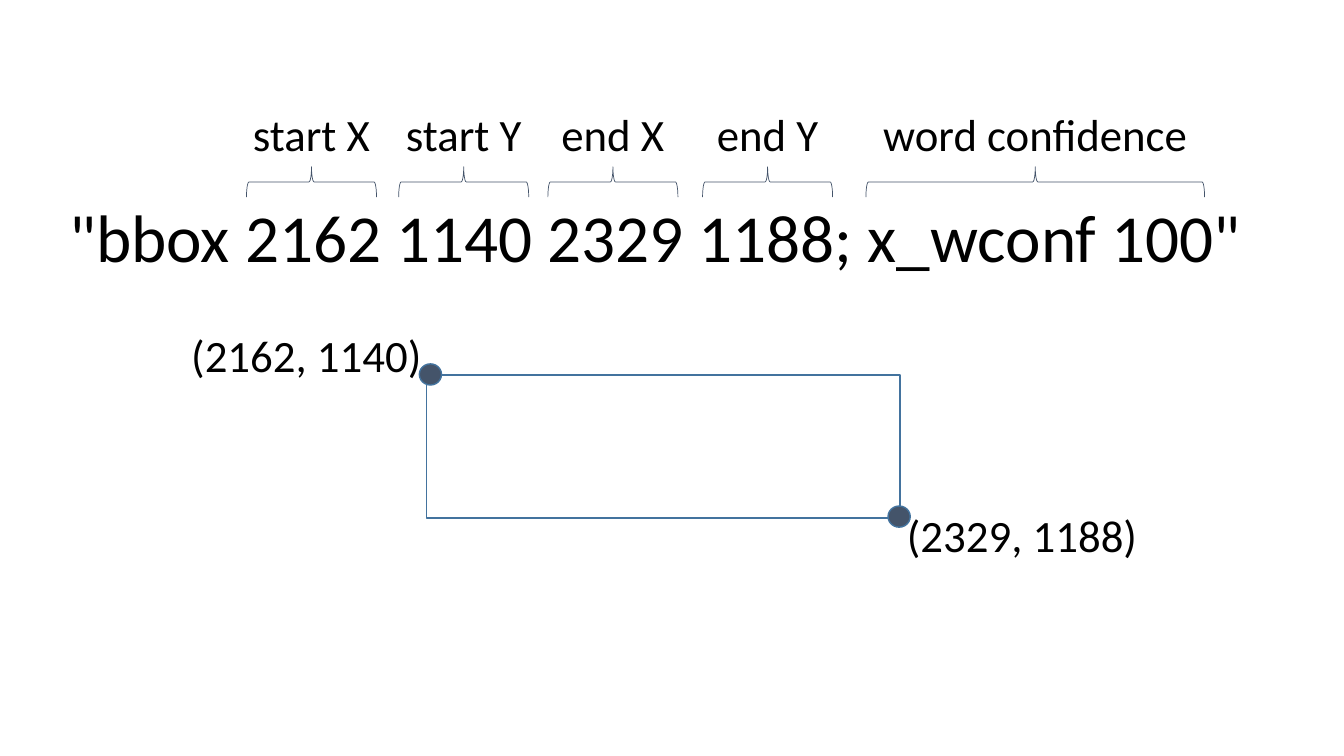
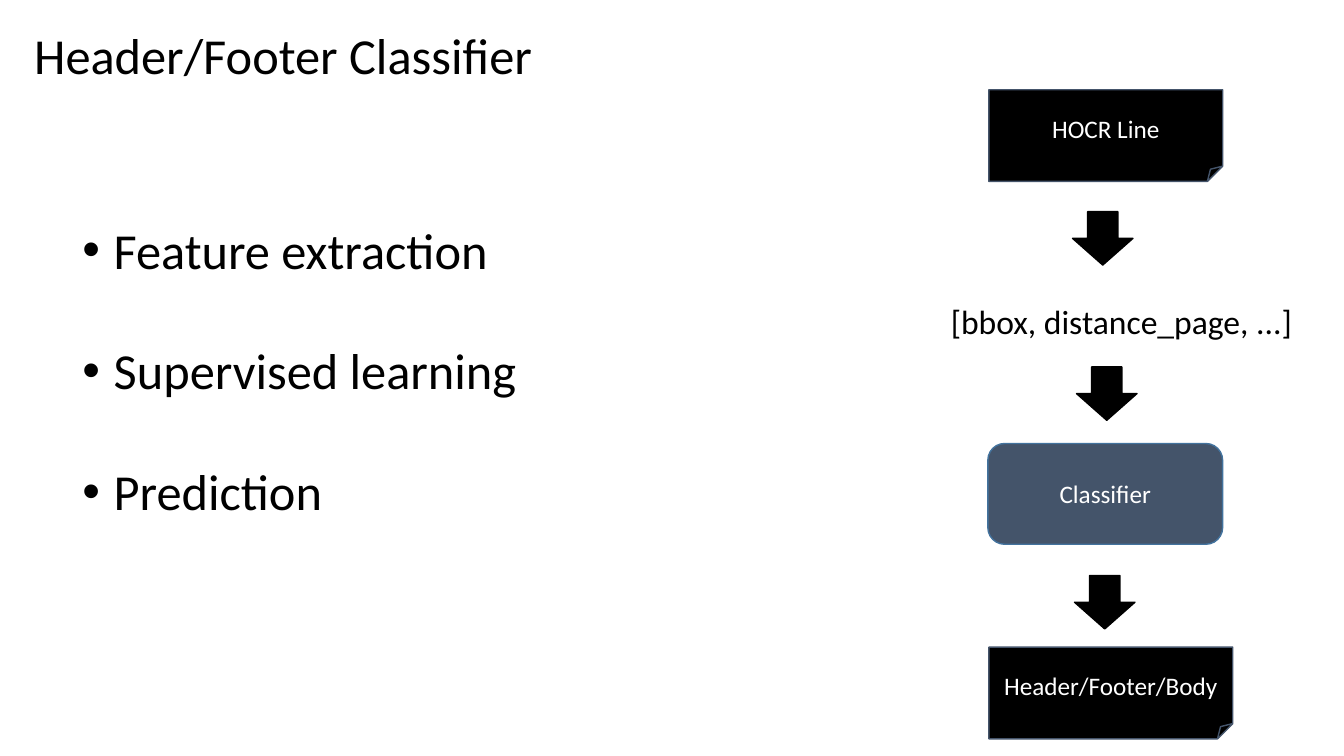
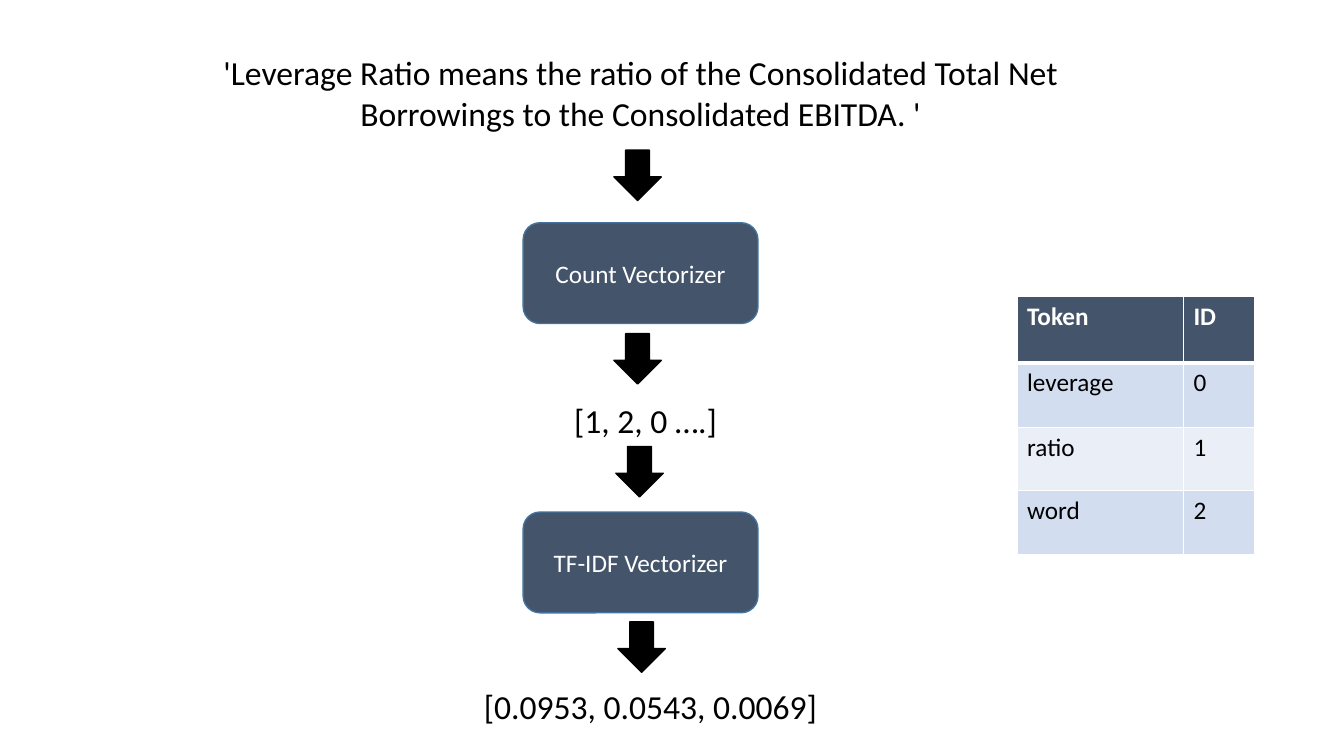
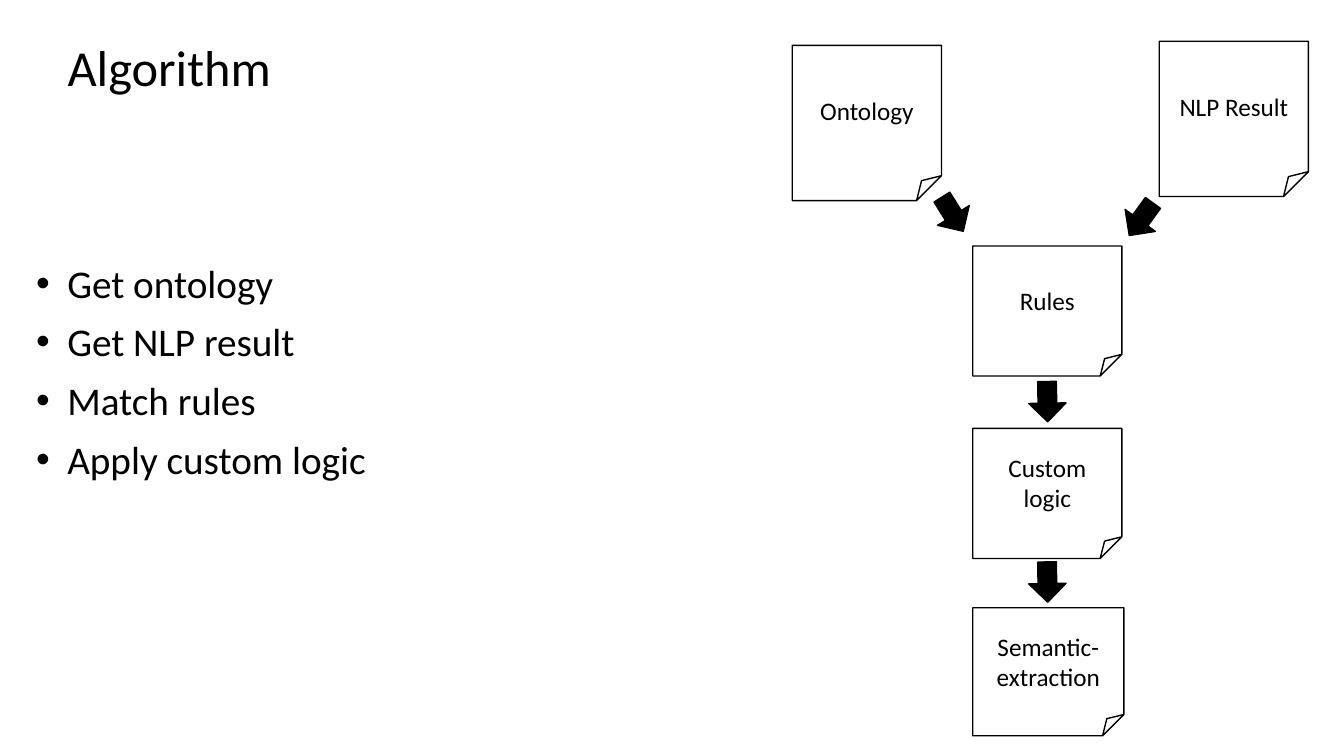
import pptx
import pptx.util
import pptx.dml.color
import pptx.enum.shapes
import pptx.enum.text
import pptx.oxml.ns
from lxml import etree

RGBColor = pptx.dml.color.RGBColor
MSO = pptx.enum.shapes.MSO_SHAPE
ALIGN = pptx.enum.text.PP_ALIGN
ANCHOR = pptx.enum.text.MSO_ANCHOR
Pt = pptx.util.Pt

BLACK = RGBColor(0x00, 0x00, 0x00)
WHITE = RGBColor(0xFF, 0xFF, 0xFF)
SLATE = RGBColor(0x44, 0x54, 0x6A)
BLUE = RGBColor(0x43, 0x73, 0x9E)
BAND_DARK = RGBColor(0xD2, 0xDE, 0xEF)
BAND_LIGHT = RGBColor(0xEA, 0xEF, 0xF7)

# All places and sizes are grid cells: 80 columns by 45 rows
COLUMNS, ROWS = 80, 45
SLIDE_W, SLIDE_H = pptx.util.Inches(13.333), pptx.util.Inches(7.5)
CELL = SLIDE_H / ROWS

# ---- Content: bounding box slide ----
HOCR_TITLE = '"bbox 2162 1140 2329 1188; x_wconf 100"'
# label, centre column, label width, brace span
FIELDS = [
    ("start X", 18.54, 18, 7.74),
    ("start Y", 27.6, 18, 7.74),
    ("end X", 36.48, 18, 7.74),
    ("end Y", 45.69, 18, 7.74),
    ("word confidence", 61.62, 24.9, 20.16),
]
BOUNDING_BOX = (25.38, 22.32, 28.2, 8.52)
# text, text place, dot centre
CORNERS = [
    ("(2162, 1140)", (9.24, 19.2), (25.62, 22.29)),
    ("(2329, 1188)", (51.84, 29.94), (53.52, 30.75)),
]
DOT_W, DOT_H = 1.32, 1.26

# ---- Content: classifier slide ----
STEPS = ["Feature extraction", "Supervised learning", "Prediction"]
CLASSIFIER_PAGES = [
    ("HOCR Line", (58.86, 5.34, 13.92, 5.46)),
    ("Header/Footer/Body", (58.86, 38.52, 14.52, 5.46)),
]
CLASSIFIER_ARROWS = [(63.84, 12.6), (64.08, 21.84), (63.96, 34.26)]

# ---- Content: vectorizer slide ----
VECTOR_TEXTS = [
    ("'Leverage Ratio means the ratio of the Consolidated Total Net "
     "Borrowings to the Consolidated EBITDA. '", (8.76, 2.82, 58.74, 7.26)),
    ("[1, 2, 0 ….]", (9.06, 23.52, 58.74, 4.86)),
    ("[0.0953, 0.0543, 0.0069]", (9.36, 40.56, 58.74, 4.2)),
]
VECTORIZERS = [("Count Vectorizer", 13.26), ("TF-IDF Vectorizer", 30.48)]
VECTOR_ARROWS = [(36.54, 8.94), (36.54, 19.86), (36.66, 26.58), (36.78, 37.02)]
TOKENS = [("Token", "ID"), ("leverage", "0"), ("ratio", "1"), ("word", "2")]
TOKEN_COLUMNS = [9.9, 4.26]
TOKEN_ROWS = [3.96, 3.84, 3.78, 3.78]

# ---- Content: algorithm slide ----
ALGORITHM = ["Get ontology", "Get NLP result", "Match rules",
             "Apply custom logic"]
ALGORITHM_PAGES = [
    ("Ontology", (47.16, 2.7, 8.88, 9.24)),
    ("NLP Result", (69, 2.46, 8.88, 9.24)),
    ("Rules", (57.9, 14.64, 8.88, 7.74)),
    ("Custom logic", (57.9, 25.5, 8.88, 7.74)),
    ("Semantic-extraction", (57.9, 36.18, 9, 7.62)),
]
# column, row, rotation
ALGORITHM_ARROWS = [(61.14, 22.8, 89), (61.14, 33.54, 89),
                    (55.5, 11.64, 58), (66.72, 11.94, 126)]


# ---- Shared drawing ----
def cells(*counts):
    return [round(count * CELL) for count in counts]


def style(font, size, color, bold=False):
    formats = {"name": "Calibri", "size": Pt(size), "bold": bold}
    for attribute, value in formats.items():
        setattr(font, attribute, value)
    font.color.rgb = color


def text(slide, words, place, size, align=ALIGN.CENTER):
    frame = slide.shapes.add_textbox(*cells(*place)).text_frame
    frame.word_wrap = True
    line = frame.paragraphs[0]
    line.text = words
    line.alignment = align
    style(line.runs[0].font, size, BLACK)


def bullets(slide, items, place, size, spacing=None, gap=0):
    frame = slide.shapes.add_textbox(*cells(*place)).text_frame
    frame.word_wrap = True
    for number, item in enumerate(items):
        line = frame.paragraphs[0] if number == 0 else frame.add_paragraph()
        line.text = item
        properties = line._p.get_or_add_pPr()
        indent = pptx.util.Inches(0.31)
        properties.set("marL", str(indent))
        properties.set("indent", str(-indent))
        for tag, name, value in (("a:buFont", "typeface", "Arial"),
                                 ("a:buChar", "char", "•")):
            etree.SubElement(properties, pptx.oxml.ns.qn(tag)).set(name, value)
        if spacing:
            line.line_spacing = spacing
        if gap and number:
            line.space_before = Pt(gap)
        style(line.runs[0].font, size, BLACK)


def shape(slide, kind, place, fill=None, line=BLACK, width=1, turn=0,
          words=None, color=WHITE):
    drawn = slide.shapes.add_shape(kind, *cells(*place))
    drawn.shadow.inherit = False
    drawn.rotation = turn
    if fill is None:
        drawn.fill.background()
    else:
        drawn.fill.solid()
        drawn.fill.fore_color.rgb = fill
    drawn.line.color.rgb = line
    drawn.line.width = Pt(width)
    if words:
        frame = drawn.text_frame
        frame.word_wrap = True
        frame.vertical_anchor = ANCHOR.MIDDLE
        frame.text = words
        frame.paragraphs[0].alignment = ALIGN.CENTER
        style(frame.paragraphs[0].runs[0].font, 18, color)


def centred(column, row, width, height):
    return column - width / 2, row - height / 2, width, height


def process(slide, words, column, row):
    shape(slide, MSO.ROUNDED_RECTANGLE, (column, row, 13.98, 6),
          SLATE, BLUE, words=words)


def down_arrows(slide, places, width, height):
    for place in places:
        shape(slide, MSO.DOWN_ARROW, (*place, width, height), BLACK)


def cell_borders(cell, bottom):
    properties = cell._tc.get_or_add_tcPr()
    widths = {"a:lnL": 1, "a:lnR": 1, "a:lnT": 1, "a:lnB": bottom}
    for position, (tag, width) in enumerate(widths.items()):
        edge = etree.Element(pptx.oxml.ns.qn(tag), w=str(Pt(width)))
        fill = etree.SubElement(edge, pptx.oxml.ns.qn("a:solidFill"))
        etree.SubElement(fill, pptx.oxml.ns.qn("a:srgbClr"), val=str(WHITE))
        properties.insert(position, edge)


# ---- Slides ----
def bounding_box_slide(slide):
    text(slide, HOCR_TITLE, (3.24, 11.34, 71.58, 5.46), 48)
    for label, centre, width, span in FIELDS:
        text(slide, label, (centre - width / 2, 6.06, width, 3.84), 32)
        shape(slide, MSO.LEFT_BRACE, centred(centre, 10.83, 1.8, span),
              line=SLATE, width=0.5, turn=90)
    shape(slide, MSO.RECTANGLE, BOUNDING_BOX, line=BLUE)
    for label, place, dot in CORNERS:
        text(slide, label, (*place, 18, 3.84), 32)
        shape(slide, MSO.OVAL, centred(*dot, DOT_W, DOT_H), SLATE, BLUE)


def classifier_slide(slide):
    text(slide, "Header/Footer Classifier", (1.44, 1.14, 49.68, 4.26), 36,
         ALIGN.LEFT)
    bullets(slide, STEPS, (4.32, 9.12, 42.18, 24), 36, spacing=2.0)
    for words, place in CLASSIFIER_PAGES:
        shape(slide, MSO.FOLDED_CORNER, place, BLACK, SLATE, words=words)
    text(slide, "[bbox, distance_page, ...]", (54.15, 17.64, 25.2, 4.86), 24)
    process(slide, "Classifier", 58.8, 26.4)
    down_arrows(slide, CLASSIFIER_ARROWS, 3.6, 3.18)


def vectorizer_slide(slide):
    for words, place in VECTOR_TEXTS:
        text(slide, words, place, 24)
    for words, row in VECTORIZERS:
        process(slide, words, 31.14, row)
    down_arrows(slide, VECTOR_ARROWS, 2.82, 3)

    tokens = slide.shapes.add_table(
        len(TOKENS), len(TOKEN_COLUMNS),
        *cells(60.54, 17.64, sum(TOKEN_COLUMNS), sum(TOKEN_ROWS))).table
    for column, width in zip(tokens.columns, cells(*TOKEN_COLUMNS)):
        column.width = width
    for row, height in zip(tokens.rows, cells(*TOKEN_ROWS)):
        row.height = height
    for r, entries in enumerate(TOKENS):
        header = r == 0
        band = SLATE if header else (BAND_LIGHT, BAND_DARK)[r % 2]
        for c, entry in enumerate(entries):
            cell = tokens.cell(r, c)
            cell.text = entry
            cell.fill.solid()
            cell.fill.fore_color.rgb = band
            style(cell.text_frame.paragraphs[0].runs[0].font, 18,
                  WHITE if header else BLACK, header)
            cell_borders(cell, 3 if header else 1)


def algorithm_slide(slide):
    text(slide, "Algorithm", (1.08, 1.86, 18, 4.26), 36)
    bullets(slide, ALGORITHM, (1.56, 15.12, 42, 14.04), 28, gap=8.3)
    for words, place in ALGORITHM_PAGES:
        shape(slide, MSO.FOLDED_CORNER, place, words=words, color=BLACK)
    for column, row, turn in ALGORITHM_ARROWS:
        shape(slide, MSO.RIGHT_ARROW, (column, row, 2.4, 2.22), BLACK,
              turn=turn)


def main():
    deck = pptx.Presentation()
    deck.slide_width, deck.slide_height = SLIDE_W, SLIDE_H
    blank = deck.slide_layouts[6]
    for build in (bounding_box_slide, classifier_slide, vectorizer_slide,
                  algorithm_slide):
        build(deck.slides.add_slide(blank))
    deck.save("out.pptx")


if __name__ == "__main__":
    main()
